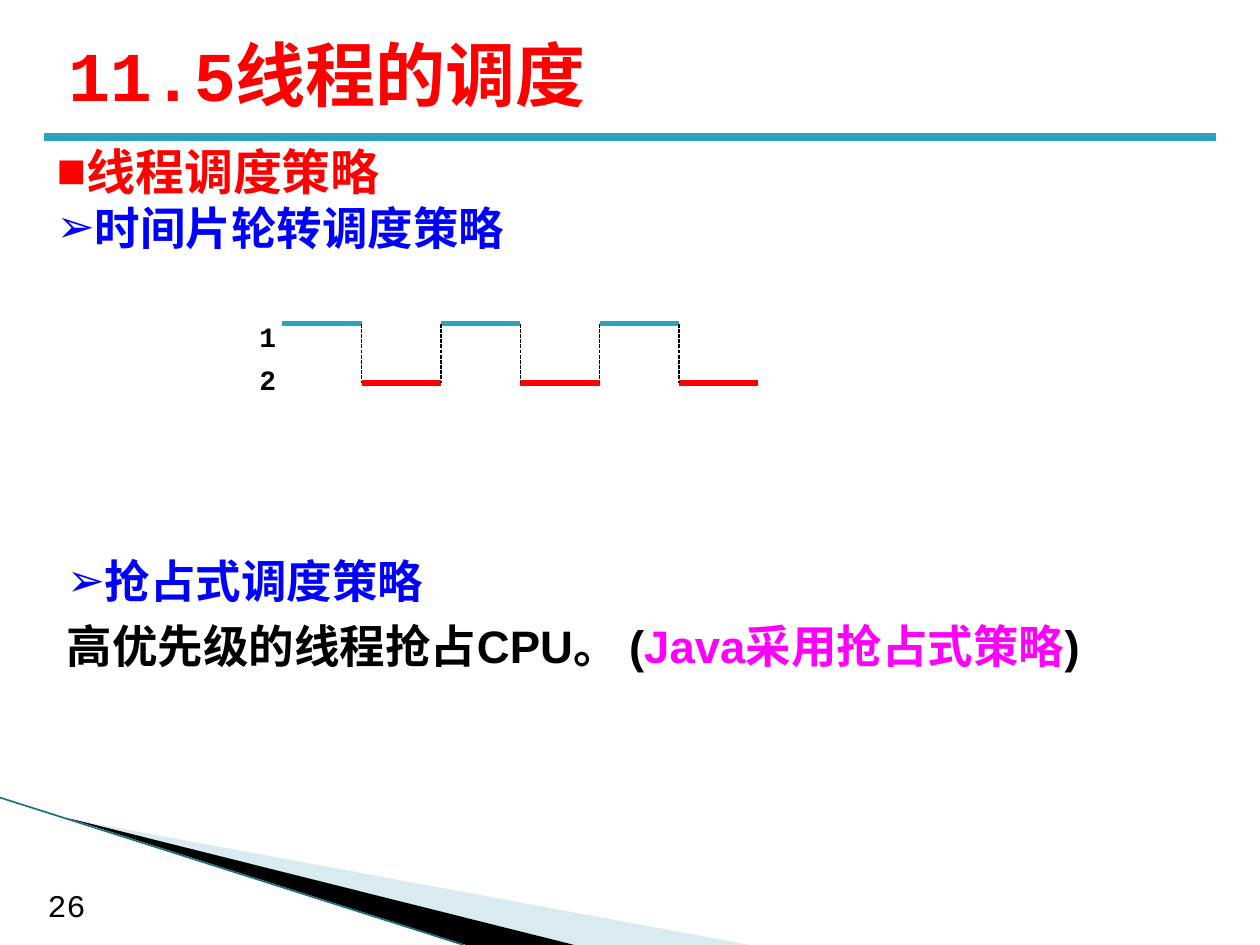
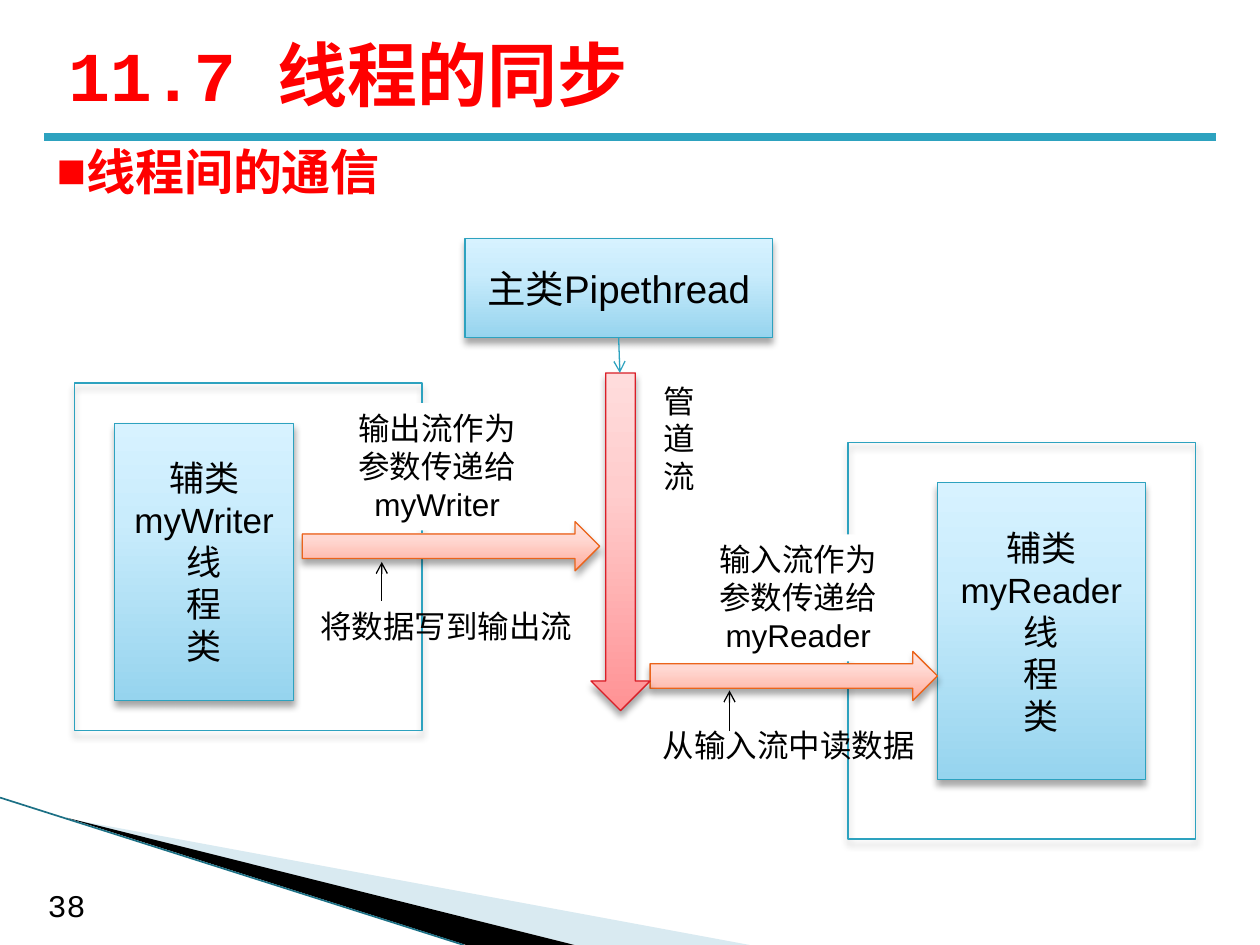
from lxml.etree import SubElement
from pptx import Presentation
from pptx.dml.color import RGBColor
from pptx.enum.dml import MSO_LINE
from pptx.enum.shapes import MSO_CONNECTOR, MSO_SHAPE
from pptx.enum.text import MSO_ANCHOR, MSO_AUTO_SIZE, PP_ALIGN
from pptx.oxml.ns import qn
from pptx.util import Inches, Pt

COLOURS = {
    "red": "FF0000", "blue": "0000FF", "magenta": "FF00FF", "black": "000000",
    "white": "FFFFFF", "teal": "2DA2BF", "edge": "1C7085", "pale": "A0CBDC",
    "orange": "EB641B", "crimson": "DA1F28",
}
GRADIENTS = {
    "teal": ("96D4EE", "C9ECFC", "D7F2FF"),
    "orange": ("FFAC9C", "FFD8D2", "FFE4DF"),
    "crimson": ("FF9294", "FFCDCD", "FFDCDC"),
}
GRADIENT_STOPS = (0, 65000, 100000)
TITLE_STYLE = {"size": Pt(40), "name": "Courier New", "bold": True}
TOPIC_STYLE = {"size": Pt(28), "name": "Arial", "bold": True}
POINT_STYLE = {"size": Pt(26), "name": "Arial", "bold": True}
NUMBER_STYLE = {"size": Pt(18), "name": "Courier New", "bold": False}
SIGNAL_STYLE = {"size": Pt(16), "name": "Courier New", "bold": True}
LABEL_STYLE = {"size": Pt(18), "name": "Arial", "bold": False}
NODE_STYLE = {"size": Pt(20), "name": "Arial", "bold": False}
MAIN_STYLE = {"size": Pt(22), "name": "Arial", "bold": False}


def apply(target, values):
    for name, value in values.items():
        setattr(target, name, value)


def rgb(name):
    return RGBColor.from_string(COLOURS[name])


def inches(box):
    return [Inches(value) for value in box]


def add_spans(para, spans, style):
    for text, colour in spans:
        span = para.add_run()
        span.text = text
        apply(span.font, style)
        span.font.color.rgb = rgb(colour)


def write(shape, lines, style, align=PP_ALIGN.LEFT, anchor=MSO_ANCHOR.TOP):
    frame = shape.text_frame
    apply(frame, {"word_wrap": True, "auto_size": MSO_AUTO_SIZE.NONE,
                  "vertical_anchor": anchor})
    for index, line in enumerate(lines):
        para = frame.add_paragraph() if index else frame.paragraphs[0]
        para.alignment = align
        add_spans(para, [(line, "black")], style)


def add_title(page, text):
    title = page.shapes.title
    apply(title, dict(zip(("left", "top", "width", "height"),
                          inches((0.44, 0.16, 9, 0.85)))))
    apply(title.text_frame, {"auto_size": MSO_AUTO_SIZE.NONE,
                             "vertical_anchor": MSO_ANCHOR.MIDDLE})
    para = title.text_frame.paragraphs[0]
    para.alignment = PP_ALIGN.LEFT
    add_spans(para, [(text, "red")], TITLE_STYLE)


def add_list(page, slot, box, items, space_after=0):
    body = page.placeholders[slot]
    apply(body, dict(zip(("left", "top", "width", "height"), inches(box))))
    frame = body.text_frame
    frame.auto_size = MSO_AUTO_SIZE.NONE
    for index, (bullet, spans, style) in enumerate(items):
        para = frame.add_paragraph() if index else frame.paragraphs[0]
        properties = para._p.get_or_add_pPr()
        properties.set("marL", "0")
        properties.set("indent", "0")
        if bullet:
            SubElement(properties, qn("a:buChar"), char=bullet)
        else:
            SubElement(properties, qn("a:buNone"))
        apply(para, {"space_before": Pt(0), "space_after": Pt(space_after),
                     "alignment": PP_ALIGN.LEFT})
        add_spans(para, spans, style)


def add_line(shapes, start, end, colour, width, dash=None, arrow=False):
    line = shapes.add_connector(MSO_CONNECTOR.STRAIGHT, *inches(start + end))
    line.line.color.rgb = rgb(colour)
    line.line.width = Pt(width)
    if dash:
        line.line.dash_style = dash
    if arrow:
        SubElement(line.line._get_or_add_ln(), qn("a:tailEnd"), type="arrow")
    SubElement(line._element.spPr, qn("a:effectLst"))


def add_text(shapes, box, lines, style, align=PP_ALIGN.CENTER):
    write(shapes.add_textbox(*inches(box)), lines, style, align)


def add_wedge(page, points, colour, opacity=100):
    corners = [tuple(inches(point)) for point in points]
    builder = page.shapes.build_freeform(*corners[0])
    builder.add_line_segments(corners[1:])
    wedge = builder.convert_to_shape()
    wedge.shadow.inherit = False
    wedge.fill.solid()
    wedge.fill.fore_color.rgb = rgb(colour)
    wedge.line.fill.background()
    tint = wedge._element.spPr.find(".//" + qn("a:srgbClr"))
    SubElement(tint, qn("a:alpha"), val=str(opacity * 1000))


def add_frame(page, title, number):
    add_wedge(page, [(0.55, 6.5), (5.95, 7.5), (4.56, 7.5)], "pale", 40)
    add_wedge(page, [(0.53, 6.49), (4.56, 7.5), (3.7, 7.5)], "black")
    add_line(page.shapes, (0, 6.33), (3.68, 7.5), "edge", 0.95)
    add_line(page.shapes, (0.35, 1.09), (9.65, 1.09), "teal", 4.5)
    add_text(page.shapes, (0.28, 6.98, 0.55, 0.4), [number], NUMBER_STYLE,
             PP_ALIGN.LEFT)
    add_title(page, title)


def add_shadow(shape):
    shape.shadow.inherit = False
    effects = shape._element.spPr.find(qn("a:effectLst"))
    shadow = SubElement(effects, qn("a:outerShdw"), blurRad=str(Pt(4)),
                        dist=str(Pt(3)), dir="5400000", rotWithShape="0")
    tint = SubElement(shadow, qn("a:srgbClr"), val=COLOURS["black"])
    SubElement(tint, qn("a:alpha"), val="35000")


def add_outlined(page, kind, box, colour, filled=True):
    shape = page.shapes.add_shape(kind, *inches(box))
    shape.line.color.rgb = rgb(colour)
    shape.line.width = Pt(0.75)
    add_shadow(shape)
    if not filled:
        shape.fill.background()
        return shape
    shape.fill.gradient()
    shape.fill.gradient_angle = 90
    stops = shape._element.spPr.find(".//" + qn("a:gsLst"))
    stops.clear()
    for position, tint in zip(GRADIENT_STOPS, GRADIENTS[colour]):
        stop = SubElement(stops, qn("a:gs"), pos=str(position))
        SubElement(stop, qn("a:srgbClr"), val=tint)
    return shape


def add_node(page, box, lines, style):
    node = add_outlined(page, MSO_SHAPE.RECTANGLE, box, "teal")
    write(node, lines, style, PP_ALIGN.CENTER, MSO_ANCHOR.MIDDLE)


def add_caption(page, box, text):
    caption = page.shapes.add_shape(MSO_SHAPE.RECTANGLE, *inches(box))
    caption.shadow.inherit = False
    caption.fill.solid()
    caption.fill.fore_color.rgb = rgb("white")
    caption.line.fill.background()
    write(caption, [text], LABEL_STYLE, PP_ALIGN.CENTER)


def add_time_slices(page, left, top, step, drop, count):
    shapes = page.shapes.add_group_shape().shapes
    levels = ((top, "teal"), (top + drop, "red"))
    for index in range(count):
        start = left + index * step
        level, colour = levels[index % 2]
        add_line(shapes, (start, level), (start + step, level), colour, 3)
        if index:
            add_line(shapes, (start, top), (start, top + drop), "black", 0.75,
                     MSO_LINE.SQUARE_DOT)
    for index, name in enumerate(("1", "2")):
        add_text(shapes, (left - 0.39, top - 0.08 + index * 0.34, 0.55, 0.37),
                 [name], SIGNAL_STYLE)


def build_scheduling(deck):
    page = deck.slides.add_slide(deck.slide_layouts[3])
    add_frame(page, "11.5线程的调度", "26")
    add_list(page, 1, (0.35, 1.07, 9.21, 1.01), [
        ("■", [("线程调度策略", "red")], TOPIC_STYLE),
        ("➢", [("时间片轮转调度策略", "blue")], POINT_STYLE),
    ])
    add_time_slices(page, left=2.24, top=2.57, step=0.63, drop=0.47, count=6)
    add_list(page, 2, (0.43, 4.34, 9.21, 1.06), [
        ("➢", [("抢占式调度策略", "blue")], POINT_STYLE),
        (None, [("高优先级的线程抢占CPU。 (", "black"),
                ("Java采用抢占式策略", "magenta"), (")", "black")], POINT_STYLE),
    ], space_after=6)


def add_pipe_diagram(page):
    for box in ((6.73, 3.51, 2.76, 3.15), (0.59, 3.04, 2.76, 2.76)):
        add_outlined(page, MSO_SHAPE.RECTANGLE, box, "teal", filled=False)
    for name, box in (("myWriter", (0.91, 3.36, 1.42, 2.2)),
                      ("myReader", (7.44, 3.83, 1.65, 2.36))):
        add_node(page, box, ["辅类", name, "线", "程", "类"], NODE_STYLE)
    add_node(page, (3.69, 1.89, 2.44, 0.79), ["主类Pipethread"], MAIN_STYLE)
    streams = (
        ((2.4, 4.14, 2.36, 0.39), (2.72, 3.2, 1.5, 1.01),
         "输出流作为参数传递给myWriter"),
        ((5.16, 5.17, 2.28, 0.39), (5.55, 4.24, 1.57, 1.01),
         "输入流作为参数传递给myReader"),
    )
    for arrow_box, caption_box, text in streams:
        add_outlined(page, MSO_SHAPE.RIGHT_ARROW, arrow_box, "orange")
        add_caption(page, caption_box, text)
    add_outlined(page, MSO_SHAPE.DOWN_ARROW, (4.69, 2.96, 0.47, 2.68), "crimson")
    for box, text in (((2.4, 4.77, 2.28, 0.4), "将数据写到输出流"),
                      ((5.16, 5.71, 2.2, 0.4), "从输入流中读数据"),
                      ((5.16, 2.98, 0.47, 1.01), "管道流")):
        add_text(page.shapes, box, [text], LABEL_STYLE)
    for start, end, colour in (((4.91, 2.68), (4.92, 2.96), "teal"),
                               ((5.79, 5.8), (5.79, 5.48), "black"),
                               ((3.03, 4.77), (3.03, 4.46), "black")):
        add_line(page.shapes, start, end, colour, 0.75, arrow=True)


def build_synchronization(deck):
    page = deck.slides.add_slide(deck.slide_layouts[1])
    add_frame(page, "11.7 线程的同步", "38")
    add_list(page, 1, (0.35, 1.07, 9.21, 0.57),
             [("■", [("线程间的通信", "red")], TOPIC_STYLE)])
    add_pipe_diagram(page)


def main():
    deck = Presentation()
    apply(deck, {"slide_width": Inches(10), "slide_height": Inches(7.5)})
    build_scheduling(deck)
    build_synchronization(deck)
    deck.save("out.pptx")


if __name__ == "__main__":
    main()
